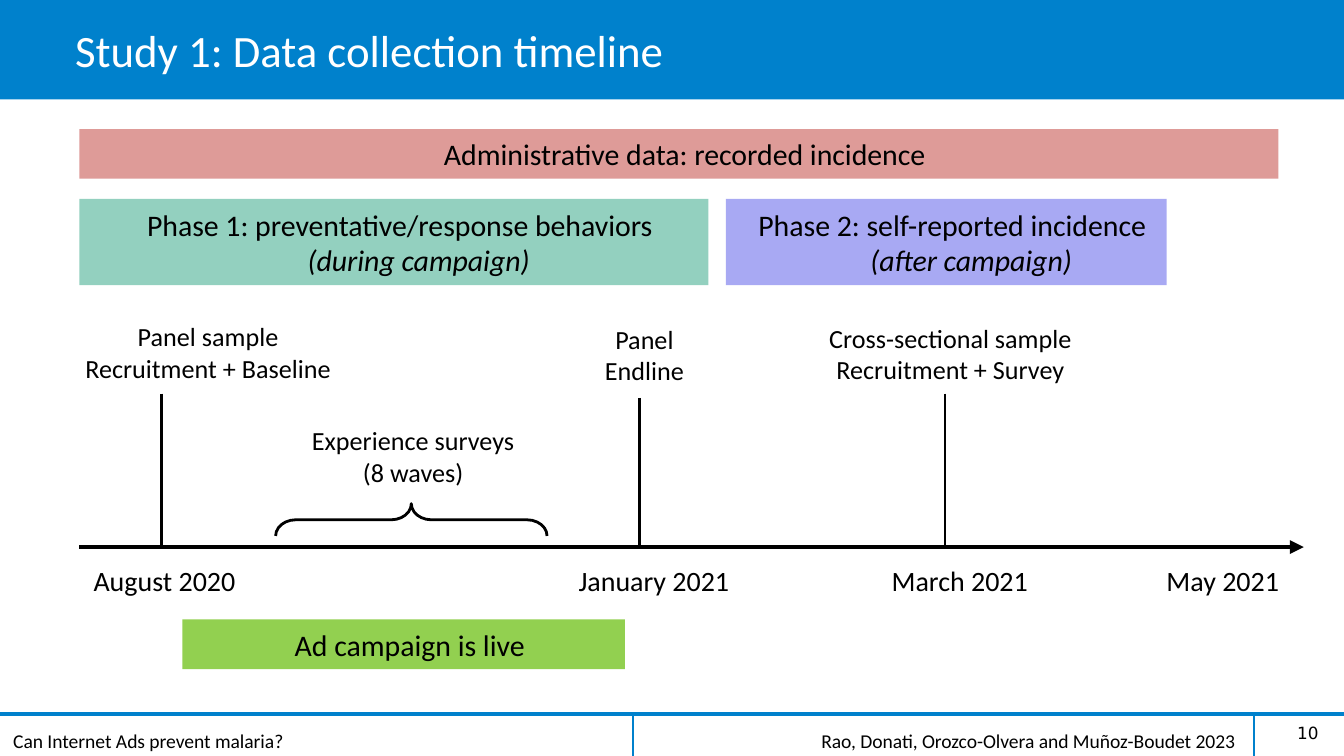
from lxml import etree
from pptx import Presentation
from pptx.dml.color import RGBColor
from pptx.enum import shapes as kinds, text as txt
from pptx.oxml import ns
from pptx.util import Cm, Pt

WIDE, HIGH = 25.4, 14.29
BLUE, BLACK, WHITE = "0081CC", "000000", "FFFFFF"
LEFT, MID, RIGHT = txt.PP_ALIGN.LEFT, txt.PP_ALIGN.CENTER, txt.PP_ALIGN.RIGHT
AXIS, FOOT = 10.34, 13.49

TITLE = "Study 1: Data collection timeline"
BARS = [
    ("Administrative data: recorded incidence", 1.5, 2.44, 22.66, 0.94, "C0403B", 52),
    ("Phase 1: preventative/response behaviors\v(during campaign)", 1.5, 3.76, 11.89, 1.63, "93D0BF", 100),
    ("Phase 2: self-reported incidence\v(after campaign)", 13.72, 3.76, 8.33, 1.63, "A8A9F3", 100),
    ("Ad campaign is live", 3.45, 11.71, 8.36, 0.94, "92D050", 100),
]
LABELS = [
    ("Panel sample\nRecruitment + Baseline", 0.91, 5.94, 5.82),
    ("Experience surveys\n(8 waves)", 5.13, 7.9, 5.13),
    ("Panel\nEndline", 10.06, 5.99, 4.01),
    ("Cross-sectional sample\nRecruitment + Survey", 14.94, 5.97, 5.82),
]
STEMS = [(3.05, 7.44), (12.09, 7.52), (17.86, 7.44)]
DATES = [("August 2020", 3.11), ("January 2021", 12.36), ("March 2021", 18.14), ("May 2021", 23.11)]
SPLITS = [11.96, 23.7]
NOTES = [
    ("Can Internet Ads prevent malaria?", 0, 13.65, 11, 10.5, LEFT, "Calibri"),
    ("Rao, Donati, Orozco-Olvera and Muñoz-Boudet 2023", 12.6, 13.65, 11, 10.5, RIGHT, "Calibri"),
    ("10", 23.83, 13.54, 1.34, 9, RIGHT, "DejaVu Sans"),
]

deck = Presentation()
deck.slide_width, deck.slide_height = Cm(WIDE), Cm(HIGH)
slide = deck.slides.add_slide(deck.slide_layouts[6])
tree = slide.shapes


def paint(form, tint):
    form.solid()
    form.fore_color.rgb = RGBColor.from_string(tint)


def write(shape, words, size, tint=BLACK, align=MID, face="Calibri", hang=False):
    frame = shape.text_frame
    frame.word_wrap = True
    frame.text = words
    for para in frame.paragraphs:
        para.alignment = align
        if hang:
            props = para._p.get_or_add_pPr()
            props.set("marL", str(Cm(0.94)))
            props.set("indent", str(Cm(-0.71)))
        for run in para.runs:
            run.font.name, run.font.size = face, Pt(size)
            paint(run.font.fill, tint)


def label(words, x, y, w, h, size, **style):
    box = tree.add_textbox(Cm(x), Cm(y), Cm(w), Cm(h))
    write(box, words, size, **style)
    return box


def block(x, y, w, h, tint):
    box = tree.add_shape(kinds.MSO_SHAPE.RECTANGLE, Cm(x), Cm(y), Cm(w), Cm(h))
    box.shadow.inherit = False
    box.line.fill.background()
    paint(box.fill, tint)
    return box


def rule(x, y, x2, y2, tint, width):
    line = tree.add_connector(kinds.MSO_CONNECTOR.STRAIGHT, Cm(x), Cm(y), Cm(x2), Cm(y2))
    paint(line.line.fill, tint)
    line.line.width = Pt(width)
    etree.SubElement(line._element.spPr, ns.qn("a:effectLst"))
    return line


block(0, 0, WIDE, 1.88, BLUE)
head = label(TITLE, 1.17, 0, 17.93, 1.88, 24, tint=WHITE, align=LEFT)
head.text_frame.vertical_anchor = txt.MSO_ANCHOR.MIDDLE

rule(0, FOOT, WIDE, FOOT, BLUE, 2)
for x in SPLITS:
    rule(x, FOOT, x, HIGH, BLUE, 1)
for words, x, y, w, size, align, face in NOTES:
    label(words, x, y, w, 0.64, size, align=align, face=face)

for words, x, y, w, h, tint, alpha in BARS:
    bar = block(x, y, w, h, tint)
    if alpha < 100:
        shade = bar._element.spPr.find(".//" + ns.qn("a:srgbClr"))
        etree.SubElement(shade, ns.qn("a:alpha")).set("val", str(alpha * 1000))
    write(bar, words, 16, hang=True)
    for run in bar.text_frame.paragraphs[0].runs[1:]:
        run.font.italic = True

axis = rule(1.5, AXIS, 24.64, AXIS, BLACK, 2.5)
etree.SubElement(axis.line._get_or_add_ln(), ns.qn("a:tailEnd")).set("type", "triangle")
for x, top in STEMS:
    rule(x, top, x, AXIS, BLACK, 1.5)
for words, x, y, w in LABELS:
    label(words, x, y, w, 1.45, 14, hang=True)
for words, x in DATES:
    label(words, x - 2, 10.52, 4, 0.99, 15)

brace = tree.add_shape(kinds.MSO_SHAPE.RIGHT_BRACE, Cm(7.47), Cm(7.26), Cm(0.61), Cm(5.13))
brace.shadow.inherit = False
brace.rotation = 270
brace.adjustments[0], brace.adjustments[1] = 0.62, 0.5
brace.fill.background()
paint(brace.line.fill, BLACK)
brace.line.width = Pt(1.5)

deck.save("out.pptx")
